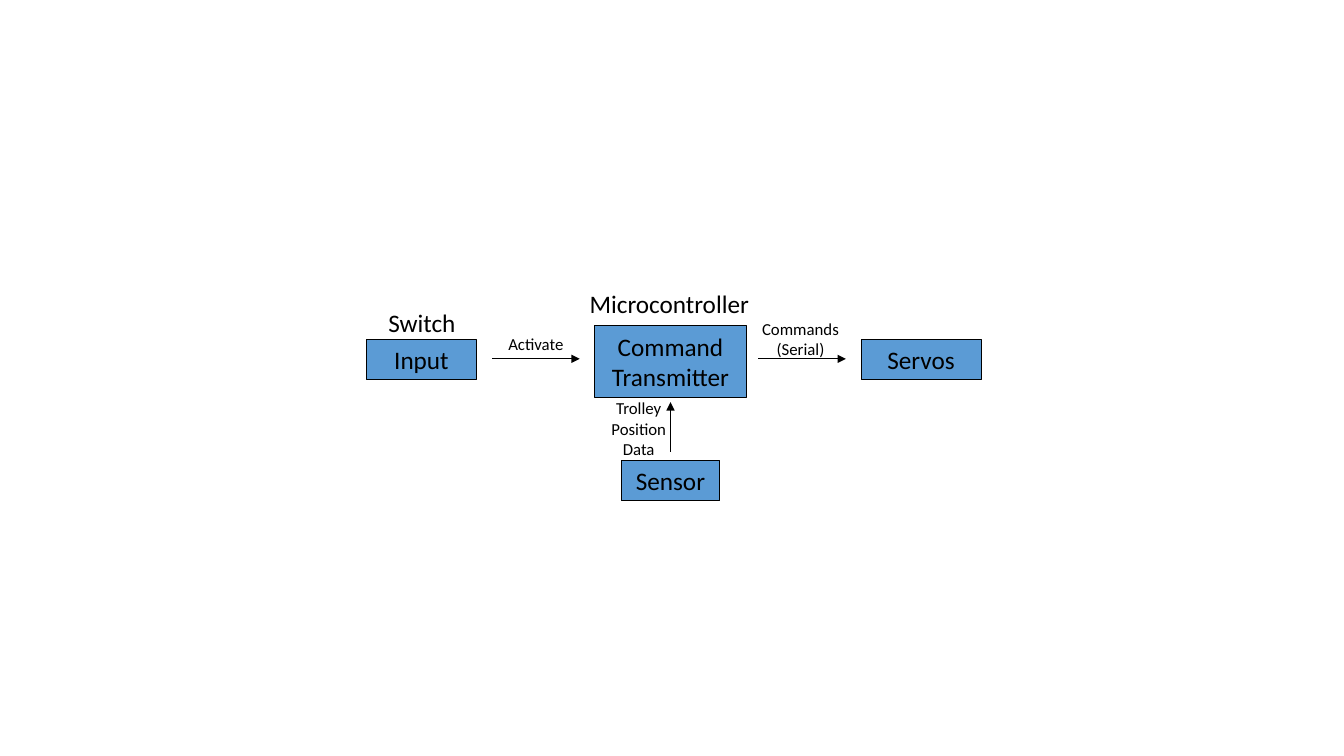
from lxml import etree
from pptx import Presentation
from pptx.dml.color import RGBColor
from pptx.enum.shapes import MSO_CONNECTOR, MSO_SHAPE
from pptx.enum.text import MSO_ANCHOR, MSO_AUTO_SIZE, PP_ALIGN
from pptx.oxml.ns import qn
from pptx.util import Inches, Pt

RECT = MSO_SHAPE.RECTANGLE
STRAIGHT = MSO_CONNECTOR.STRAIGHT
LEFT, CENTER = PP_ALIGN.LEFT, PP_ALIGN.CENTER
COLORS = {"box": "5B9BD5", "ink": "000000"}
FONT = "Calibri"
COLS = {"input": 4.18, "activate": 5.315, "hub": 6.65, "commands": 7.955, "servos": 9.135}
ROWS = {"flow": 3.57, "hub": 3.585, "sensor": 4.77}
BOX_H, ARROW_LEN = 0.4, 0.87

BOXES = [
    ("Input", "input", "flow", 1.09, BOX_H),
    ("Command Transmitter", "hub", "hub", 1.51, 0.71),
    ("Servos", "servos", "flow", 1.19, BOX_H),
    ("Sensor", "hub", "sensor", 0.98, BOX_H),
]
LABELS = [
    ("Switch", 3.72, 3.0, 0.93, 0.4, 18, CENTER, True),
    ("Microcontroller", 5.75, 2.81, 1.96, 0.4, 18, LEFT, True),
    ("Activate", 4.77, 3.26, 1.09, 0.3, 12, CENTER, True),
    ("Commands\n(Serial)", 7.41, 3.11, 1.06, 0.5, 12, CENTER, True),
    ("Trolley\nPosition\nData", 5.94, 3.9, 0.79, 0.71, 12, CENTER, False),
]
ARROWS = [
    (COLS[c] - ARROW_LEN / 2, 3.56, COLS[c] + ARROW_LEN / 2, 3.56)
    for c in ("activate", "commands")
] + [(COLS["hub"], 4.48, COLS["hub"], 3.99)]


def color(name):
    return RGBColor.from_string(COLORS[name])


def write(shape, text, size, align=CENTER, wrap=True, anchor=MSO_ANCHOR.TOP):
    tf = shape.text_frame
    tf.text = text
    frame = {"word_wrap": wrap, "auto_size": MSO_AUTO_SIZE.SHAPE_TO_FIT_TEXT,
             "vertical_anchor": anchor}
    for name, value in frame.items():
        setattr(tf, name, value)
    for p in tf.paragraphs:
        p.alignment = align
        for r in p.runs:
            for name, value in {"name": FONT, "size": Pt(size)}.items():
                setattr(r.font, name, value)
            r.font.color.rgb = color("ink")


def add_box(s, text, col, row, w, h):
    x, y = COLS[col] - w / 2, ROWS[row] - h / 2
    sp = s.shapes.add_shape(RECT, *map(Inches, (x, y, w, h)))
    sp.shadow.inherit = False
    sp.fill.solid()
    sp.fill.fore_color.rgb = color("box")
    sp.line.color.rgb = color("ink")
    sp.line.width = Pt(0.75)
    write(sp, text, 18, anchor=MSO_ANCHOR.MIDDLE)


def add_arrow(s, ends):
    cx = s.shapes.add_connector(STRAIGHT, *map(Inches, ends))
    cx.line.color.rgb = color("ink")
    cx.line.width = Pt(0.5)
    etree.SubElement(cx.line._get_or_add_ln(), qn("a:tailEnd"), type="triangle")
    etree.SubElement(cx._element.spPr, qn("a:effectLst"))


def main():
    prs = Presentation()
    prs.slide_width, prs.slide_height = Inches(13.33), Inches(7.5)
    s = prs.slides.add_slide(prs.slide_layouts[6])
    for box in BOXES:
        add_box(s, *box)
    for ends in ARROWS:
        add_arrow(s, ends)
    for text, x, y, w, h, size, align, wrap in LABELS:
        tb = s.shapes.add_textbox(*map(Inches, (x, y, w, h)))
        write(tb, text, size, align, wrap)
    prs.save("out.pptx")


if __name__ == "__main__":
    main()
